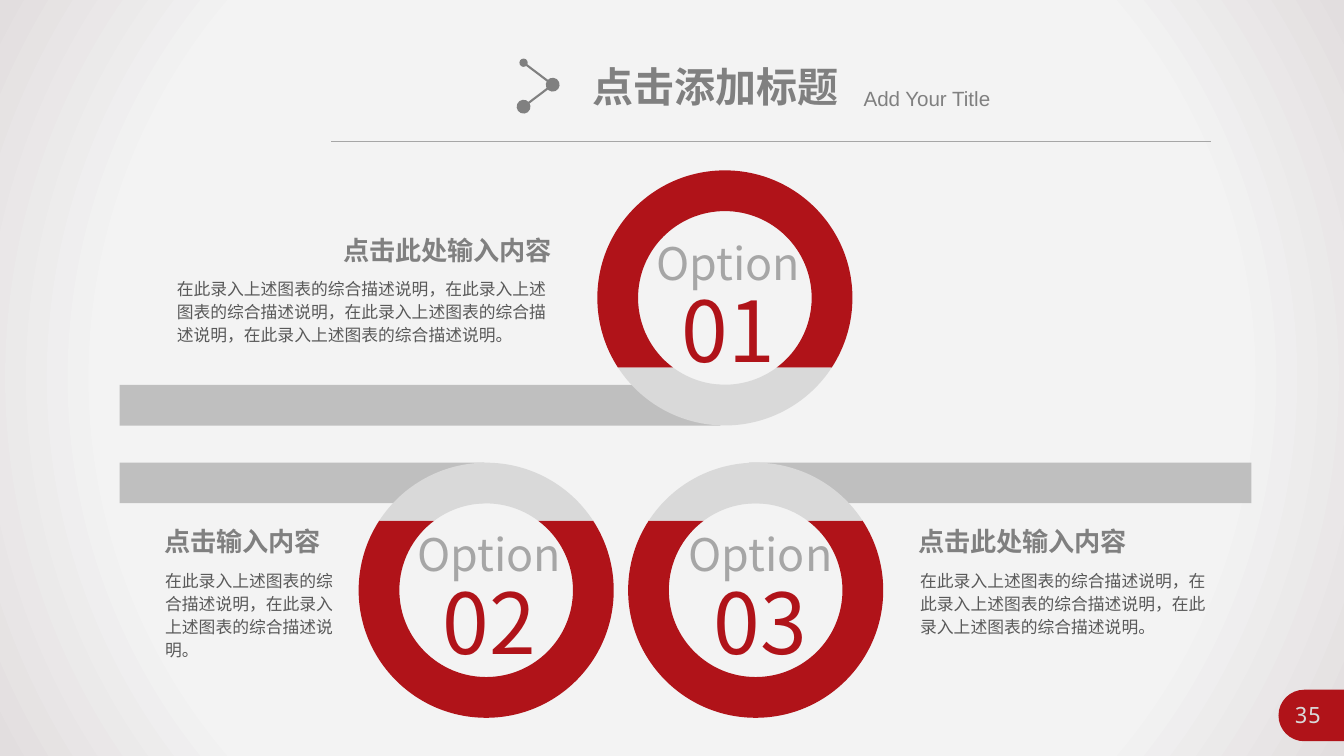
from math import asin, cos, degrees, floor, radians, sin, tan
from lxml.etree import SubElement as Sub
from pptx import Presentation
from pptx.dml.color import RGBColor as RGB
from pptx.enum.shapes import MSO_CONNECTOR as Conn, MSO_SHAPE as Form
from pptx.enum.text import MSO_ANCHOR as Anchor, PP_ALIGN as Align
from pptx.oxml import parse_xml
from pptx.oxml.ns import nsdecls, qn
from pptx.util import Pt

tint = {"red": "B01319", "pale": "D9D9D9", "bar": "BFBFBF", "rule": "A6A6A6",
        "head": "808080", "body": "595959"}
noto = "Noto Sans CJK SC"

deck = Presentation()
deck.slide_width, deck.slide_height = Pt(960), Pt(540)
slide = deck.slides.add_slide(deck.slide_layouts[6])
shapes = slide.shapes


def paint(shape, color):
    shape.shadow.inherit = False
    shape.fill.solid()
    shape.fill.fore_color.rgb = RGB.from_string(tint[color])
    shape.line.fill.background()


def write(box, lines, align=Align.LEFT, space=None, wrap=True):
    frame = shapes.add_textbox(*map(Pt, box)).text_frame
    frame.word_wrap = wrap
    frame.vertical_anchor = Anchor.TOP
    frame.text = "\n".join(line[0] for line in lines)
    for para, (_, size, color, font, bold) in zip(frame.paragraphs, lines):
        para.alignment = align
        para.line_spacing = space
        run = para.runs[0]
        run.font.size, run.font.bold, run.font.name = Pt(size), bold, font
        run.font.color.rgb = RGB.from_string(tint[color])
        Sub(run.font._element, qn("a:ea")).set("typeface", font)


back = shapes.add_shape(Form.RECTANGLE, 0, 0, Pt(960), Pt(540))
paint(back, "pale")
stops = [(0, "F5F5F5"), (73, "F3F3F3"), (100, "E2DEDF")]
marks = "".join(f'<a:gs pos="{pos * 1000}"><a:srgbClr val="{color}"/></a:gs>'
                for pos, color in stops)
fade = parse_xml(
    f'<a:gradFill {nsdecls("a")} rotWithShape="1"><a:gsLst>{marks}</a:gsLst>'
    '<a:path path="circle"><a:fillToRect l="50000" t="50000" r="50000" b="50000"/>'
    '</a:path></a:gradFill>')
solid = back._element.spPr.find(qn("a:solidFill"))
solid.getparent().replace(solid, fade)

outer, inner, cut = 91.1, 62, 49.8
wide, near = degrees(asin(cut / outer)), degrees(asin(cut / inner))
parts = [
    ("red", (outer, 180 - wide, 360 + wide), (inner, 360 + near, 180 - near)),
    ("pale", (outer, wide, 180 - wide), (inner, 180 - near, near)),
]
rings = [
    ("01", 517.8, 212.8, 1, 520.2, 169.2, 85.5, 429.1, 275),
    ("02", 347.3, 421.6, -1, 349.6, 377.3, 85.5, 260.6, 330.5),
    ("03", 539.8, 421.6, -1, 543.3, 377.3, 535, 358.8, 330.5),
]
outlines = [(shapes, "red", 931.6, 511.1, 1, [(18.4, 90, 270)],
             [(960, 492.7), (960, 529.5)])]
for label, x, y, side, mid, top, left, width, level in rings:
    bar = shapes.add_shape(Form.RECTANGLE, *map(Pt, (left, level, width, 29)))
    paint(bar, "bar")
    write((mid - 61.2, top, 122.4, 107.3),
          [("Option", 32, "rule", noto, False), (label, 60, "red", noto, False)],
          Align.CENTER, 0.9, False)
    ring = shapes.add_group_shape().shapes
    for color, *arcs in parts:
        outlines.append((ring, color, x, y, side, arcs, []))

for home, color, x, y, side, arcs, ends in outlines:
    dots, bends = [], []
    for radius, start, stop in arcs:
        low, high = sorted((start, stop))
        turns = [low, *range(90 * (floor(low / 90) + 1), floor(high) + 1, 90), high]
        turns = sorted(set(turns), reverse=start > stop)
        dots.append((x + radius * cos(radians(start)),
                     y + side * radius * sin(radians(start))))
        for a, b in zip(turns, turns[1:]):
            a, b = radians(a), radians(b)
            pull = 4 / 3 * tan((b - a) / 4)
            bends.append(len(dots) - 1)
            for turn, lean in ((a, pull), (b, -pull), (b, 0)):
                dots.append((x + radius * (cos(turn) - lean * sin(turn)),
                             y + side * radius * (sin(turn) + lean * cos(turn))))
    dots = [(Pt(px), Pt(py)) for px, py in dots + ends]
    pen = home.build_freeform(*dots[0], scale=1.0)
    pen.add_line_segments(dots[1:], close=True)
    shape = pen.convert_to_shape()
    paint(shape, color)
    edges = list(shape._element.iter(qn("a:lnTo")))
    for bend in bends:
        curve, *rest = edges[bend:bend + 3]
        curve.tag = qn("a:cubicBezTo")
        for edge in rest:
            curve.append(edge[0])
            edge.getparent().remove(edge)

write((910.5, 497.5, 47.5, 26.6), [("35", 16, "pale", "Noto Sans Mono", False)],
      Align.CENTER)

notes = [
    ("点击此处输入内容", (197.3, 164.2, 203.8, 30.2), Align.RIGHT,
     "在此录入上述图表的综合描述说明，在此录入上述图表的综合描述说明，"
     "在此录入上述图表的综合描述说明，在此录入上述图表的综合描述说明。",
     (119.2, 193.7, 289.4, 56.9)),
    ("点击此处输入内容", (628.6, 371.5, 203.8, 30.2), Align.CENTER,
     "在此录入上述图表的综合描述说明，在此录入上述图表的综合描述说明，"
     "在此录入上述图表的综合描述说明。",
     (650.2, 401.8, 228.2, 56.9)),
    ("点击输入内容", (71.3, 371.5, 203.8, 30.2), Align.CENTER,
     "在此录入上述图表的综合描述说明，在此录入上述图表的综合描述说明。",
     (110.9, 401.8, 142.6, 73.4)),
]
for head, spot, align, body, area in notes:
    write(spot, [(head, 18.67, "head", noto, True)], align)
    write(area, [(body, 12, "body", noto, False)], space=1.14)

write((416.2, 40.3, 192.2, 42.5), [("点击添加标题", 29.33, "head", "Arial", True)],
      wrap=False)
write((609.8, 57.6, 181.4, 25.2), [("Add Your Title", 14.67, "head", "Arial", False)])

icon = shapes.add_group_shape().shapes
links = [
    (shapes, 236.5, 100.8, 865, 100.8, "rule", 0.5, None),
    (icon, 374, 44.8, 394.8, 60.5, "head", 1.5, "med"),
    (icon, 394.8, 60.5, 374, 76.2, "head", 1.5, "med"),
]
for home, x1, y1, x2, y2, color, width, dot in links:
    link = home.add_connector(Conn.STRAIGHT, Pt(x1), Pt(y1), Pt(x2), Pt(y2))
    link.line.color.rgb = RGB.from_string(tint[color])
    link.line.width = Pt(width)
    if dot:
        for tag, size in (("headEnd", dot), ("tailEnd", "lg")):
            tip = Sub(link.line._get_or_add_ln(), qn(f"a:{tag}"))
            tip.set("type", "oval")
            tip.set("w", size)
            tip.set("len", size)
    Sub(link._element.spPr, qn("a:effectLst"))

deck.save("out.pptx")
